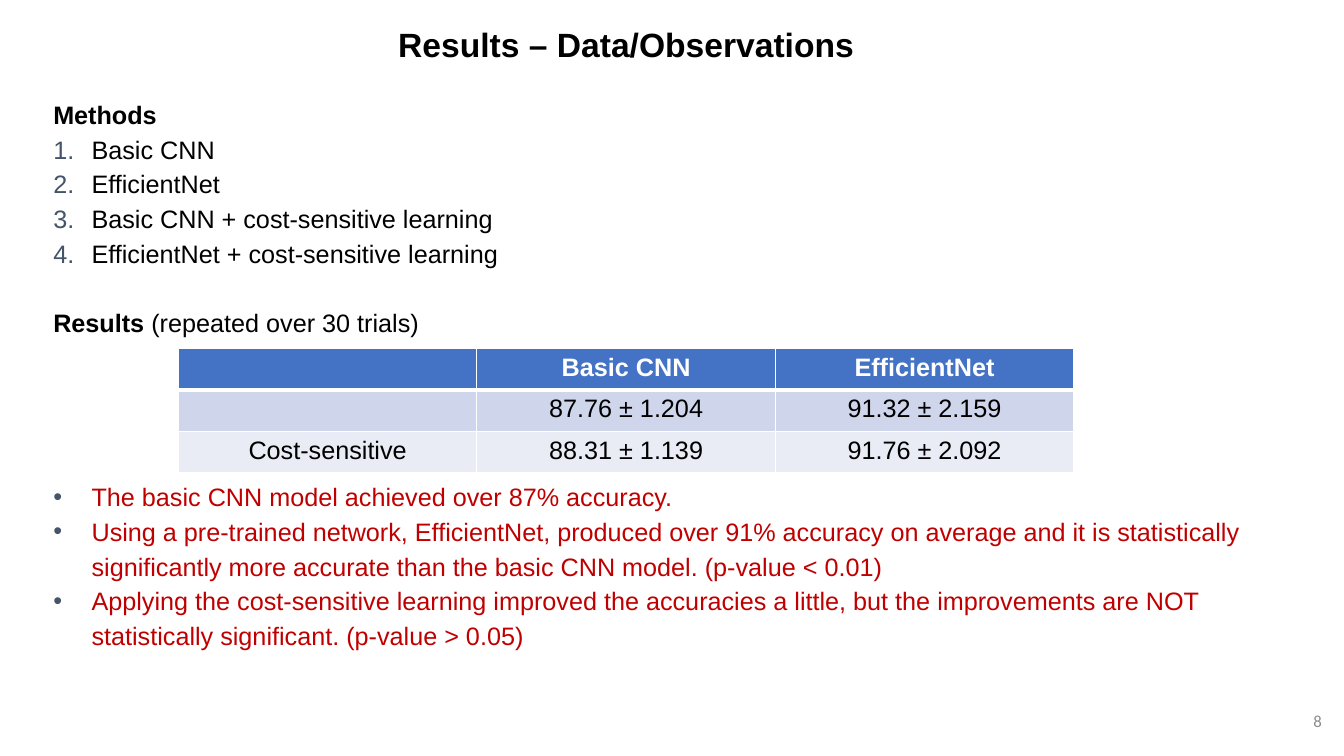
from lxml import etree
from pptx import Presentation
from pptx.dml.color import RGBColor
from pptx.enum.text import MSO_ANCHOR, PP_ALIGN
from pptx.oxml.ns import qn
from pptx.util import Pt

LEFT, CENTER, RIGHT = PP_ALIGN.LEFT, PP_ALIGN.CENTER, PP_ALIGN.RIGHT
TOP, MIDDLE = MSO_ANCHOR.TOP, MSO_ANCHOR.MIDDLE
EMU_PER_PX = 9144  # 100 px to the inch
COLORS = {
    "text": "000000", "finding": "C00000", "marker": "44546A", "page": "8C8C8C",
    "white": "FFFFFF", "header": "4472C4", "band_dark": "CFD5EA", "band_light": "E9EBF5",
}
LINE = 24.8  # height of one body line in points

METHODS = ["Basic CNN", "EfficientNet", "Basic CNN + cost-sensitive learning",
           "EfficientNet + cost-sensitive learning"]
FINDINGS = [
    "The basic CNN model achieved over 87% accuracy.",
    "Using a pre-trained network, EfficientNet, produced over 91% accuracy on average and it is "
    "statistically significantly more accurate than the basic CNN model. (p-value < 0.01)",
    "Applying the cost-sensitive learning improved the accuracies a little, but the improvements "
    "are NOT statistically significant. (p-value > 0.05)",
]
ACCURACIES = [
    ["", "Basic CNN", "EfficientNet"],
    ["", "87.76 ± 1.204", "91.32 ± 2.159"],
    ["Cost-sensitive", "88.31 ± 1.139", "91.76 ± 2.092"],
]


def px(length):
    return length * EMU_PER_PX


def rgb(name):
    return RGBColor.from_string(COLORS[name])


class SlideWriter:
    def __init__(self, page, font="Arial", size=18):
        self.page, self.font, self.size = page, font, size

    def style(self, font, color="text", bold=False, size=None, name=None):
        font.name, font.size = name or self.font, Pt(size or self.size)
        font.bold, font.color.rgb = bold, rgb(color)

    def text_box(self, left, top, width, height, anchor=TOP):
        box = self.page.shapes.add_textbox(px(left), px(top), px(width), px(height))
        box.text_frame.word_wrap = True
        box.text_frame.vertical_anchor = anchor
        return box.text_frame

    def label(self, place, text, align, anchor=TOP, **look):
        para = self.text_box(*place, anchor=anchor).paragraphs[0]
        para.text, para.alignment = text, align
        self.style(para.font, **look)

    def body_line(self, frame, text, before=0, marker=None, **look):
        """Add a paragraph; marker is None, "number" or a bullet character."""
        para = frame.paragraphs[0]
        if para.runs:
            para = frame.add_paragraph()
        para.text = text
        para.alignment, para.line_spacing, para.space_before = LEFT, 1.15, Pt(before)
        props = para._p.get_or_add_pPr()
        props.set("marL", str(px(50 if marker else 12)))
        props.set("indent", str(px(-38 if marker else 0)))
        if marker:
            tint = etree.SubElement(props, qn("a:buClr"))
            etree.SubElement(tint, qn("a:srgbClr"), val=COLORS["marker"])
            etree.SubElement(props, qn("a:buFont"), typeface=self.font)
            if marker == "number":
                etree.SubElement(props, qn("a:buAutoNum"), type="arabicPeriod")
            else:
                etree.SubElement(props, qn("a:buChar"), char=marker)
        self.style(para.font, **look)
        return para

    def cell_borders(self, cell, **widths):
        props = cell._tc.get_or_add_tcPr()
        for side in "LRTB":
            edge = etree.SubElement(props, qn(f"a:ln{side}"), w=str(Pt(widths.get(side, 1))))
            fill = etree.SubElement(edge, qn("a:solidFill"))
            etree.SubElement(fill, qn("a:srgbClr"), val=COLORS["white"])

    def table(self, left, top, column_width, row_height, rows, fills):
        count = len(rows[0])
        table = self.page.shapes.add_table(
            len(rows), count, px(left), px(top),
            px(column_width * count), px(row_height * len(rows))).table
        table.horz_banding = False
        for r, row in enumerate(rows):
            header = r == 0
            for c, text in enumerate(row):
                cell = table.cell(r, c)
                self.cell_borders(cell, B=3 if header else 1, T=3 if r == 1 else 1)
                cell.fill.solid()
                cell.fill.fore_color.rgb = rgb(fills[r])
                para = cell.text_frame.paragraphs[0]
                para.text, para.alignment = text, CENTER
                self.style(para.font, color="white" if header else "text", bold=header)


def main():
    deck = Presentation()
    deck.slide_width, deck.slide_height = px(1333), px(750)
    writer = SlideWriter(deck.slides.add_slide(deck.slide_layouts[6]))

    # Methods, results heading and findings; the gap before the findings holds the table
    body = writer.text_box(31, 89, 1271, 567)
    writer.body_line(body, "Methods", bold=True)
    for method in METHODS:
        writer.body_line(body, method, marker="number")
    heading = writer.body_line(body, "Results", before=LINE)
    heading.runs[0].font.bold = True
    heading.add_run().text = " (repeated over 30 trials)"
    for index, finding in enumerate(FINDINGS):
        writer.body_line(body, finding, before=0 if index else 4 * LINE,
                         marker="•", color="finding")

    # Page number and title
    writer.label((1021, 695, 300, 40), "8", RIGHT, MIDDLE, color="page", size=12, name="Calibri")
    writer.label((166, 19, 910, 50), "Results – Data/Observations", CENTER, bold=True, size=24)

    # Accuracy table
    writer.table(177, 346, 296, 41, ACCURACIES, ["header", "band_dark", "band_light"])

    deck.save("out.pptx")


if __name__ == "__main__":
    main()
